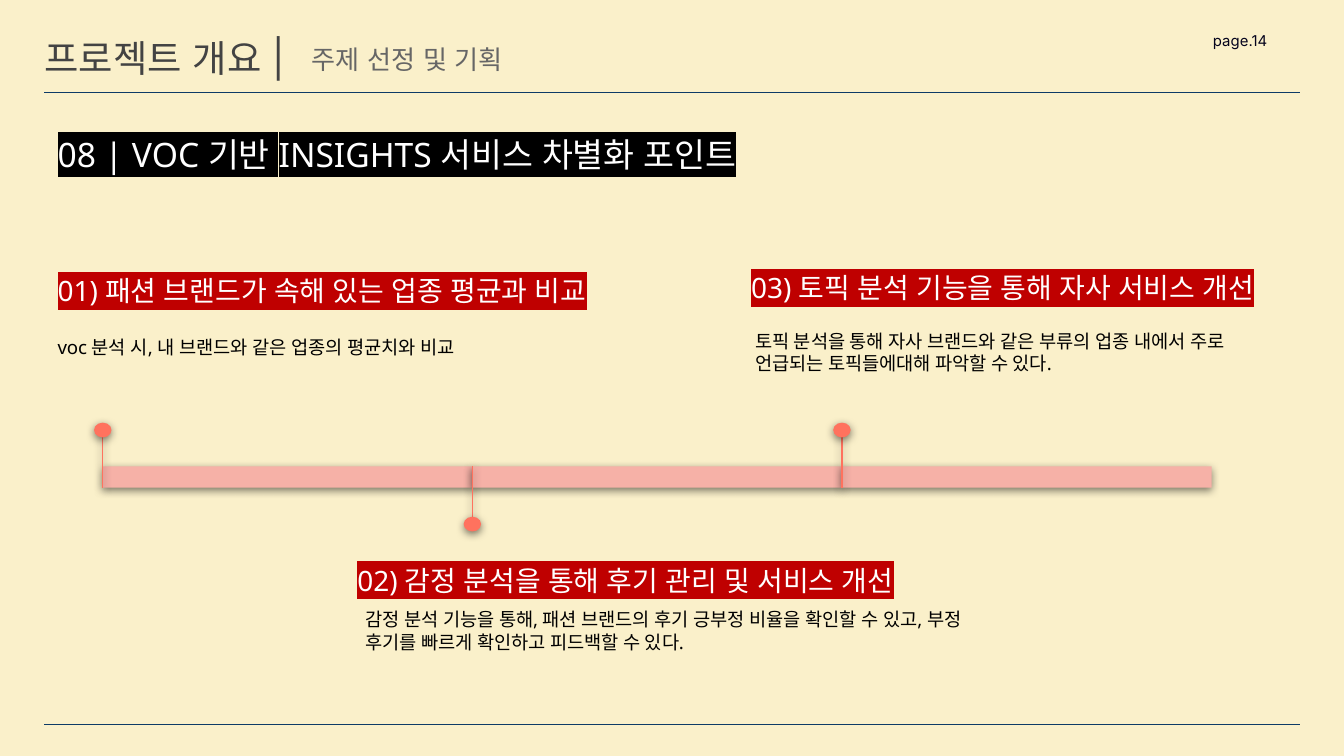
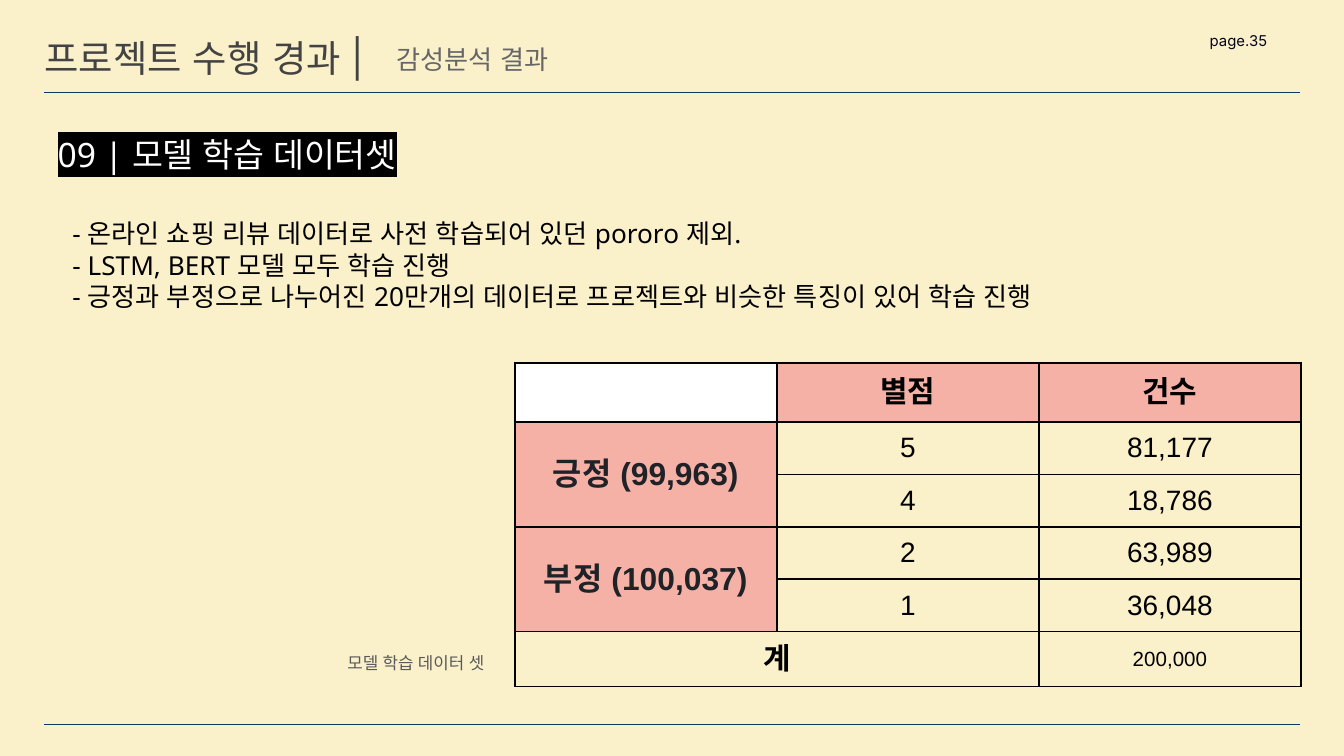
from copy import deepcopy
from itertools import product
from lxml.etree import fromstring
from pptx import Presentation
from pptx.enum.shapes import MSO_CONNECTOR, MSO_SHAPE
from pptx.enum.text import MSO_ANCHOR, PP_ALIGN
from pptx.dml.color import RGBColor
from pptx.oxml.ns import nsdecls, qn
from pptx.util import Pt

# Shared colours and fonts
CREAM, NAVY, PINK, CORAL = "FAF0CA", "0D3B66", "F6B1A7", "FF725E"
BLACK, WHITE, RED = "000000", "FFFFFF", "BF0000"
SANS, TITLE_FONT, TABLE_FONT = "Noto Sans", "Inter", "Arial"

NO_SHADOW = fromstring(f'<a:effectLst {nsdecls("a")}/>')
SHADOW = fromstring(
    f'<a:effectLst {nsdecls("a")}>'
    '<a:outerShdw blurRad="57150" dist="19050" dir="5400000" algn="bl" rotWithShape="0">'
    '<a:srgbClr val="000000"><a:alpha val="50000"/></a:srgbClr>'
    '</a:outerShdw></a:effectLst>')

# Text styles; inset is in grid cells
STYLES = {
    "title": dict(size=20, font=TITLE_FONT, color="434343", spacing=0.8),
    "subtitle": dict(size=14, font=TITLE_FONT, color="666666", spacing=0.8),
    "page number": dict(size=8, font=TITLE_FONT, color="05041D", spacing=1.4,
                        align=PP_ALIGN.RIGHT, anchor=MSO_ANCHOR.TOP),
    "heading": dict(size=18, font=SANS, color=WHITE, highlight=BLACK, inset=1),
    "point": dict(size=15, font=SANS, color=WHITE, highlight=RED, inset=1),
    "tight point": dict(size=15, font=SANS, color=WHITE, highlight=RED, inset=1, spacing=0.8),
    "detail": dict(size=10, font=SANS, color=BLACK, inset=1),
    "list": dict(size=14, font=SANS, color=BLACK, inset=1),
    "caption": dict(size=9, font=SANS, color="595959", inset=1, align=PP_ALIGN.RIGHT),
}


def paint(fill, color):
    fill.solid()
    fill.fore_color.rgb = RGBColor.from_string(color)


def write(frame, text, size, font, color, highlight=None, spacing=1.0,
          align=PP_ALIGN.LEFT, anchor=MSO_ANCHOR.MIDDLE, inset=0, bold=False):
    frame.text = text
    frame.word_wrap = True
    frame.vertical_anchor = anchor
    frame.margin_left = frame.margin_right = int(inset * CELL)
    frame.margin_top = frame.margin_bottom = int(inset * CELL)
    for para in frame.paragraphs:
        para.alignment = align
        para.line_spacing = spacing
        for span in para.runs:
            span.font.size = Pt(size)
            span.font.name = font
            span.font.bold = bold
            paint(span.font.fill, color)
            latin = span.font._element.find(qn("a:latin"))
            latin.addnext(fromstring(f'<a:ea {nsdecls("a")} typeface="{font}"/>'))
            if highlight:
                latin.addprevious(fromstring(
                    f'<a:highlight {nsdecls("a")}><a:srgbClr val="{highlight}"/></a:highlight>'))


# Deck on a grid of square cells, 100 columns wide
deck = Presentation()
deck.slide_width = 9144000
deck.slide_height = deck.slide_width * 9 // 16
CELL = deck.slide_width // 100
MARGIN, RIGHT = 3.3, 96.7

# Each text: left, top, width, height, style, wording
slides = [
    [
        (MARGIN, 2.3, 19.6, 4.6, "title", "프로젝트 개요 |"),
        (23.2, 2.3, 36.1, 4.6, "subtitle", "주제 선정 및 기획"),
        (83.5, 1.8, 10.8, 1.3, "page number", "page.14"),
        (MARGIN, 8.4, 82.2, 6.1, "heading", "08 | VOC 기반 INSIGHTS 서비스 차별화 포인트"),
        (MARGIN, 19.2, 46.7, 5.3, "tight point", "01) 패션 브랜드가 속해 있는 업종 평균과 비교"),
        (MARGIN, 22.9, 38.3, 5.8, "detail", "voc 분석 시, 내 브랜드와 같은 업종의 평균치와 비교"),
        (25.6, 40.5, 47.5, 5.3, "point", "02) 감정 분석을 통해 후기 관리 및 서비스 개선"),
        (26.2, 44, 50.2, 5.8, "detail",
         "감정 분석 기능을 통해, 패션 브랜드의 후기 긍부정 비율을 확인할 수 있고, "
         "부정 후기를 빠르게 확인하고 피드백할 수 있다."),
        (54.9, 18.3, 43.8, 6.2, "point", "03) 토픽 분석 기능을 통해 자사 서비스 개선"),
        (55.2, 23.3, 41.1, 5.8, "detail",
         "토픽 분석을 통해 자사 브랜드와 같은 부류의 업종 내에서 주로 "
         "언급되는 토픽들에대해 파악할 수 있다."),
    ],
    [
        (MARGIN, 2.3, 36.1, 4.6, "title", "프로젝트 수행 경과 |"),
        (29.5, 2.3, 36.1, 4.6, "subtitle", "감성분석 결과"),
        (83.5, 1.8, 10.8, 1.3, "page number", "page.35"),
        (MARGIN, 8.4, 68.1, 6.1, "heading", "09 | 모델 학습 데이터셋"),
        (4.4, 14.4, 79.9, 10.6, "list",
         "- 온라인 쇼핑 리뷰 데이터로 사전 학습되어 있던 pororo 제외.\n"
         "- LSTM, BERT 모델 모두 학습 진행\n"
         "- 긍정과 부정으로 나누어진 20만개의 데이터로 프로젝트와 비슷한 특징이 있어 학습 진행"),
        (4.4, 47.8, 32.6, 3, "caption", "모델 학습 데이터 셋"),
    ],
]

# Background, rules and texts of every slide
pages = []
for texts in slides:
    page = deck.slides.add_slide(deck.slide_layouts[6])
    pages.append(page)
    paint(page.background.fill, CREAM)
    for row in (6.9, 53.9):
        rule = page.shapes.add_connector(
            MSO_CONNECTOR.STRAIGHT, *(int(n * CELL) for n in (MARGIN, row, RIGHT, row)))
        paint(rule.line.fill, NAVY)
        rule.line.width = Pt(0.75)
        rule._element.spPr.append(deepcopy(NO_SHADOW))
    for *place, style, text in texts:
        box = page.shapes.add_textbox(*(int(n * CELL) for n in place))
        write(box.text_frame, text, **STYLES[style])

timeline_page, dataset_page = pages

# Timeline: equal bars, each with a pin at its left end
BAR_LEFT, BAR_TOP, BAR_WIDTH, BAR_HEIGHT = 7.65, 34.7, 27.5, 1.6
DOT_WIDTH, DOT_HEIGHT = 1.3, 1.1
for step, (pin_start, pin_end) in enumerate([(32, 36.3), (39, 34.7), (32, 36.3)]):
    left = BAR_LEFT + step * BAR_WIDTH
    bar = timeline_page.shapes.add_shape(
        MSO_SHAPE.RECTANGLE,
        *(int(n * CELL) for n in (left, BAR_TOP, BAR_WIDTH, BAR_HEIGHT)))
    pin = timeline_page.shapes.add_connector(
        MSO_CONNECTOR.STRAIGHT, *(int(n * CELL) for n in (left, pin_start, left, pin_end)))
    dot = timeline_page.shapes.add_shape(
        MSO_SHAPE.OVAL,
        *(int(n * CELL) for n in (left - DOT_WIDTH / 2, pin_start - DOT_HEIGHT / 2,
                                  DOT_WIDTH, DOT_HEIGHT)))
    paint(pin.line.fill, CORAL)
    pin.line.width = Pt(0.75)
    for shape, color in ((bar, PINK), (dot, CORAL)):
        paint(shape.fill, color)
        shape.line.fill.background()
    for part in (bar, pin, dot):
        part._element.spPr.append(deepcopy(SHADOW))

# Dataset table
rows = [
    ["", "별점", "건수"],
    ["긍정 (99,963)", "5", "81,177"],
    ["", "4", "18,786"],
    ["부정 (100,037)", "2", "63,989"],
    ["", "1", "36,048"],
    ["계", "", "200,000"],
]
ROW_HEIGHTS = [4.4, 3.9, 3.9, 3.9, 3.9, 4.1]
COLUMN_WIDTH = 19.5
table = dataset_page.shapes.add_table(
    len(rows), 3, *(int(n * CELL) for n in (38.3, 27, 3 * COLUMN_WIDTH, sum(ROW_HEIGHTS)))).table
table.first_row = table.horz_banding = False
for column in table.columns:
    column.width = int(COLUMN_WIDTH * CELL)
for row, height in zip(table.rows, ROW_HEIGHTS):
    row.height = int(height * CELL)
for first, last in (((1, 0), (2, 0)), ((3, 0), (4, 0)), ((5, 0), (5, 1))):
    table.cell(*first).merge(table.cell(*last))

for r, c in product(range(len(rows)), range(3)):
    cell = table.cell(r, c)
    is_total = r == len(rows) - 1
    if r == 0 or (is_total and c < 2):
        size, color, bold = 16, BLACK, True
    elif is_total:
        size, color, bold = 11, BLACK, False
    elif c == 0:
        size, color, bold = 17, "1F2328", True
    else:
        size, color, bold = 15, BLACK, False
    if not cell.is_spanned:
        write(cell.text_frame, rows[r][c], size, TABLE_FONT, color,
              align=PP_ALIGN.CENTER, bold=bold)
    cell.vertical_anchor = MSO_ANCHOR.MIDDLE
    cell.margin_left = cell.margin_right = int(0.7 * CELL)
    cell.margin_top = cell.margin_bottom = int(0.7 * CELL)
    if r == c == 0:
        paint(cell.fill, WHITE)
    elif r == 0 or (c == 0 and not is_total):
        paint(cell.fill, PINK)
    else:
        cell.fill.background()
    for position, side in enumerate("LRTB"):
        cell._tc.tcPr.insert(position, fromstring(
            f'<a:ln{side} {nsdecls("a")} w="12700"><a:solidFill>'
            f'<a:srgbClr val="{BLACK}"/></a:solidFill></a:ln{side}>'))

deck.save("out.pptx")
